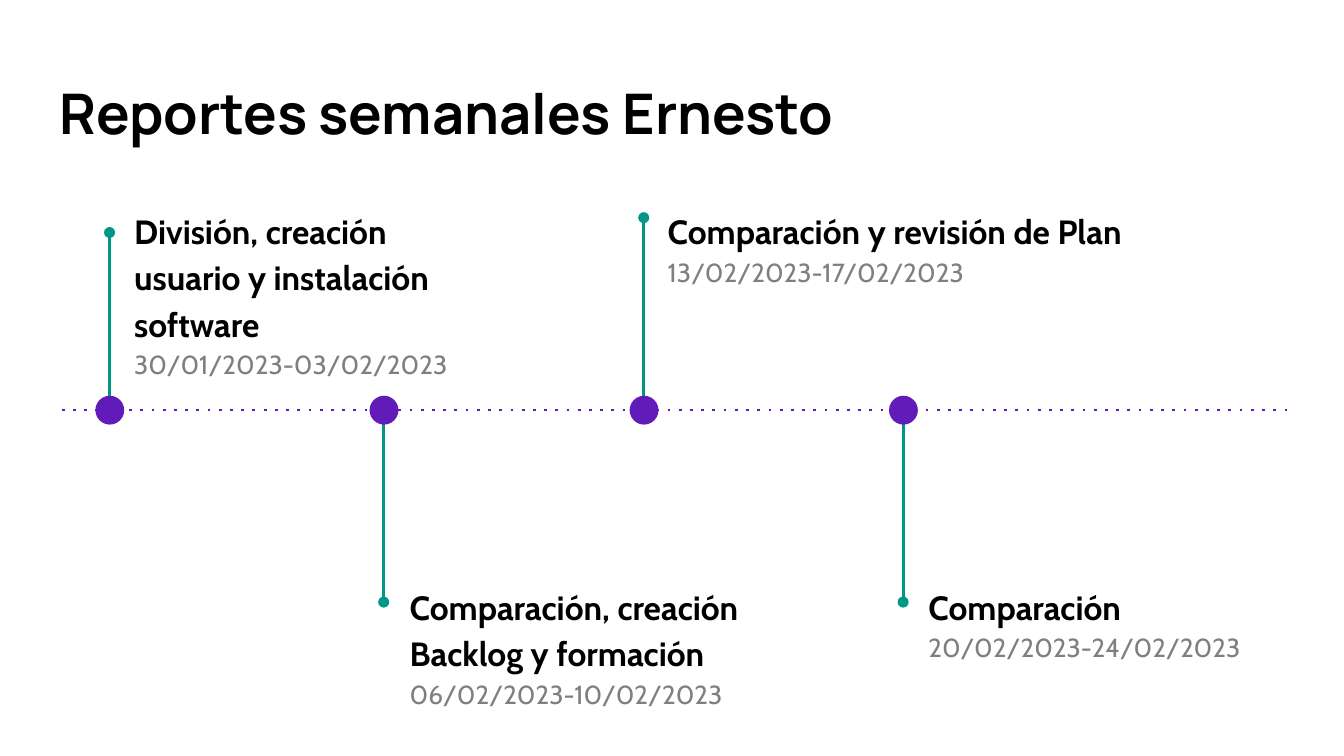
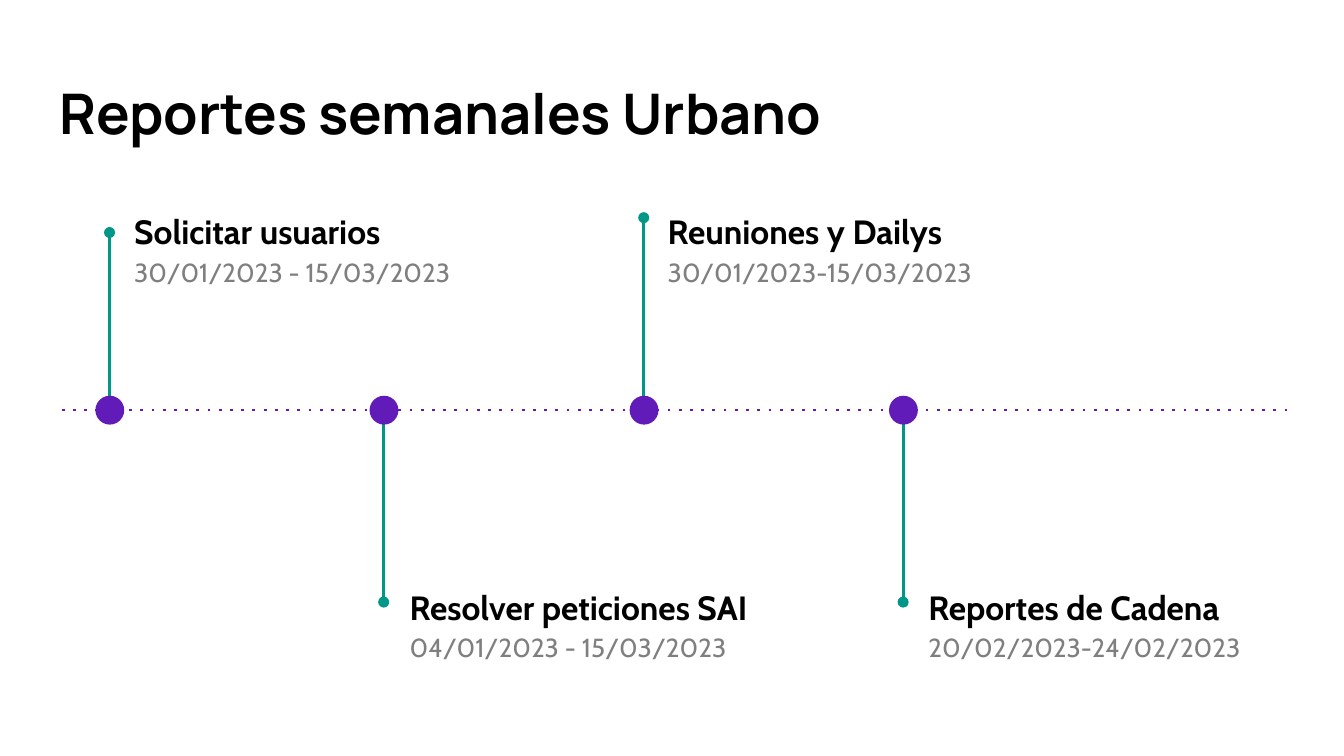
from lxml import etree
from pptx import Presentation
from pptx import util as u
from pptx.dml.color import RGBColor
from pptx.enum import shapes, text
from pptx.oxml import ns

REPORTS = [
    ("Reportes semanales Ernesto", [
        ("División, creación usuario y instalación software", "30/01/2023-03/02/2023"),
        ("Comparación, creación Backlog y formación", "06/02/2023-10/02/2023"),
        ("Comparación y revisión de Plan", "13/02/2023-17/02/2023"),
        ("Comparación", "20/02/2023-24/02/2023"),
    ]),
    ("Reportes semanales Urbano", [
        ("Solicitar usuarios", "30/01/2023 - 15/03/2023"),
        ("Resolver peticiones SAI", "04/01/2023 - 15/03/2023"),
        ("Reuniones y Dailys", "30/01/2023-15/03/2023"),
        ("Reportes de Cadena", "20/02/2023-24/02/2023"),
    ]),
]

# (marker centre, stem end, label left, label top, label width)
MILESTONES = [
    (163, 346, 180, 285, 572),
    (571, 896, 590, 844, 582),
    (958, 324, 974, 285, 760),
    (1344, 896, 1362, 844, 582),
]

PURPLE = RGBColor(0x61, 0x1B, 0xB8)
TEAL = RGBColor(0x00, 0x96, 0x88)
BLACK = RGBColor(0, 0, 0)
GRAY = RGBColor(0x7F, 0x7F, 0x7F)

PX = u.Inches(1) // 200
SLIDE_WIDTH, SLIDE_HEIGHT = 2000, 1125
TITLE_BOX = (69, 99, 1864, 136)
AXIS_Y, AXIS_LEFT, AXIS_RIGHT = 610, 92, 1916
MARKER = 43
RADIUS = MARKER // 2
LABEL_HEIGHT = 212
INSET = 20


def px(value):
    return u.Emu(value * PX)


def add_line(target, start, end, color, ending, **attributes):
    line = target.shapes.add_connector(
        shapes.MSO_CONNECTOR.STRAIGHT, *map(px, start + end))
    line.line.color.rgb = color
    line.line.width = u.Pt(1.5)
    properties = line._element.spPr
    outline = properties.find(ns.qn("a:ln"))
    etree.SubElement(outline, ns.qn(ending), attributes)
    etree.SubElement(properties, ns.qn("a:effectLst"))


def add_text(slide, box, lines, anchor, spacing=None):
    frame = slide.shapes.add_textbox(*map(px, box)).text_frame
    frame.word_wrap = True
    frame.vertical_anchor = anchor
    frame.margin_left = frame.margin_right = px(INSET)
    frame.margin_top = frame.margin_bottom = px(INSET)
    for index, (content, font, size, color, bold) in enumerate(lines):
        paragraph = frame.add_paragraph() if index else frame.paragraphs[0]
        paragraph.text = content
        paragraph.line_spacing = spacing
        paragraph.font.name = font
        paragraph.font.size = u.Pt(size)
        paragraph.font.color.rgb = color
        paragraph.font.bold = bold


def add_milestone(slide, place, task, dates):
    center, stem_end, left, top, width = place
    group = slide.shapes.add_group_shape()
    stem_start = AXIS_Y + (RADIUS if stem_end > AXIS_Y else -RADIUS)
    add_line(group, (center, stem_start), (center, stem_end), TEAL, "a:tailEnd", type="oval")
    marker = group.shapes.add_shape(
        shapes.MSO_SHAPE.OVAL, px(center - RADIUS), px(AXIS_Y - RADIUS), px(MARKER), px(MARKER))
    marker.shadow.inherit = False
    marker.fill.solid()
    marker.fill.fore_color.rgb = PURPLE
    marker.line.fill.background()
    add_text(slide, (left, top, width, LABEL_HEIGHT),
             [(task, "Cabin", 18, BLACK, True), (dates, "Cabin", 14, GRAY, False)],
             text.MSO_ANCHOR.TOP, 1.15)


def add_report(presentation, title, entries):
    slide = presentation.slides.add_slide(presentation.slide_layouts[6])
    add_text(slide, TITLE_BOX, [(title, "Manrope", 30, BLACK, True)], text.MSO_ANCHOR.MIDDLE)
    add_line(slide, (AXIS_LEFT, AXIS_Y), (AXIS_RIGHT, AXIS_Y), PURPLE, "a:prstDash", val="dot")
    for place, (task, dates) in zip(MILESTONES, entries):
        add_milestone(slide, place, task, dates)


def main():
    presentation = Presentation()
    presentation.slide_width = px(SLIDE_WIDTH)
    presentation.slide_height = px(SLIDE_HEIGHT)
    for title, entries in REPORTS:
        add_report(presentation, title, entries)
    presentation.save("out.pptx")


if __name__ == "__main__":
    main()
